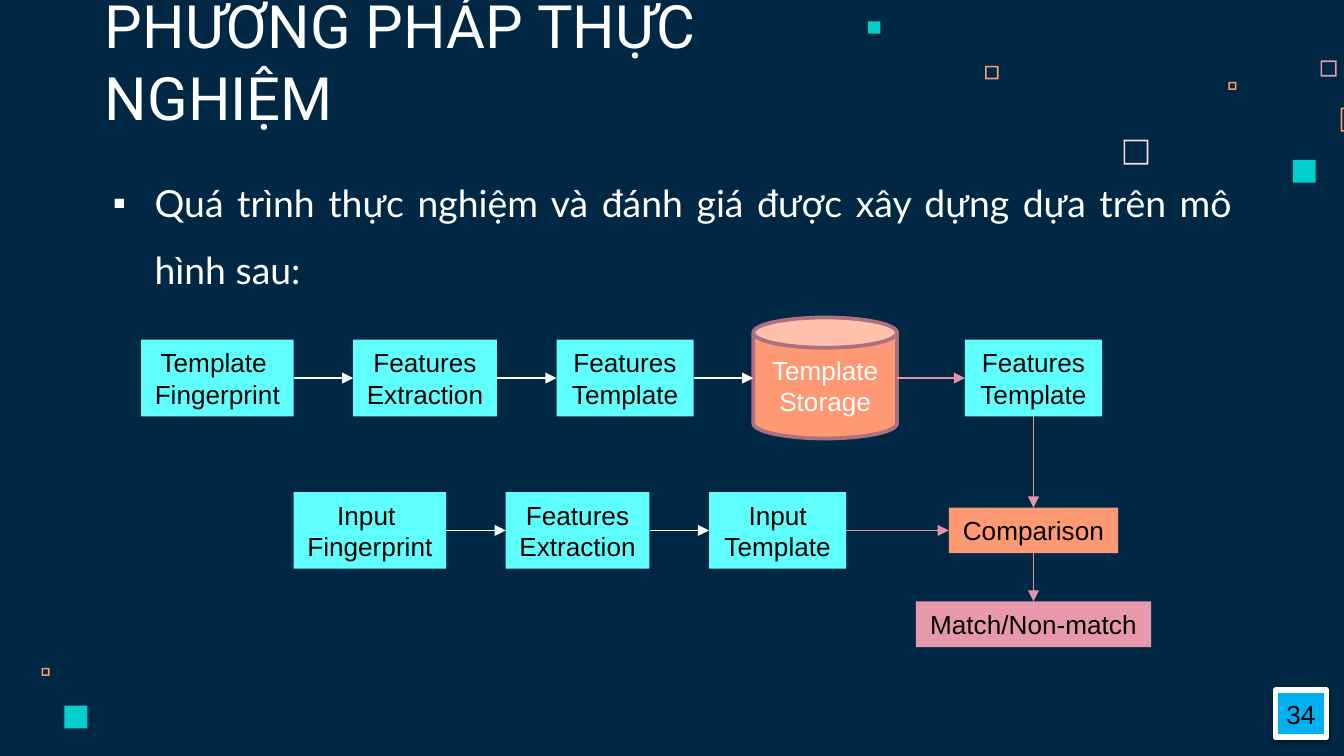
import dataclasses

import lxml.etree
import pptx
import pptx.dml.color
import pptx.enum.shapes
import pptx.enum.text
import pptx.oxml
import pptx.oxml.ns
import pptx.util

SHAPE = pptx.enum.shapes.MSO_SHAPE
ALIGN = pptx.enum.text.PP_ALIGN
ANCHOR = pptx.enum.text.MSO_ANCHOR
NO_FIT = pptx.enum.text.MSO_AUTO_SIZE.NONE
MARGINS = ("margin_left", "margin_top", "margin_right", "margin_bottom")
COLUMNS = 100
ROWS = 56.25
CELL = pptx.util.Inches(0.1)


@dataclasses.dataclass(frozen=True)
class Theme:
    background: str = "002845"
    white: str = "FFFFFF"
    black: str = "000000"
    cyan: str = "5EFFFD"
    teal: str = "00CFCC"
    orange: str = "FF9973"
    pink: str = "E898AC"
    pale_pink: str = "FFD6E1"
    arrow_pink: str = "E593A7"
    can_border: str = "AC707F"
    badge: str = "00B0F0"
    title_size: int = 32
    body_size: int = 20
    label_size: int = 14
    title_font: str = "Roboto"
    body_font: str = "Lato"
    label_font: str = "Arial"
    frame_border: float = 0.12
    arrow_width: float = 0.75


THEME = Theme()


def cells(*values):
    return [round(value * CELL) for value in values]


def color(value):
    return pptx.dml.color.RGBColor.from_string(value)


def set_values(target, values):
    for name, value in values.items():
        setattr(target, name, value)


def place(shape, left, top, width, height):
    names = ("left", "top", "width", "height")
    set_values(shape, dict(zip(names, cells(left, top, width, height))))


def add_xml(parent, tag, **attributes):
    element = lxml.etree.SubElement(parent, pptx.oxml.ns.qn(tag))
    for name, value in attributes.items():
        element.set(name, str(value))
    return element


def format_text(shape, text, font_name, size, font_color, frame_values, paragraph_values):
    frame = shape.text_frame
    frame.text = text
    set_values(frame, {"auto_size": NO_FIT, **frame_values})
    for paragraph in frame.paragraphs:
        set_values(paragraph, paragraph_values)
        for run in paragraph.runs:
            set_values(run.font, {"name": font_name, "size": pptx.util.Pt(size)})
            run.font.color.rgb = color(font_color)


def add_shape(slide, kind, box, fill, border=None, border_width=0):
    shape = slide.shapes.add_shape(kind, *cells(*box))
    shape.shadow.inherit = False
    shape.fill.solid()
    shape.fill.fore_color.rgb = color(fill)
    if border:
        shape.line.color.rgb = color(border)
        shape.line.width = pptx.util.Pt(border_width)
    else:
        shape.line.fill.background()
    return shape


def add_label(shape, text, font_color=THEME.black, **frame_values):
    values = {"word_wrap": False, "vertical_anchor": ANCHOR.MIDDLE, **frame_values}
    format_text(shape, text, THEME.label_font, THEME.label_size, font_color,
                values, {"alignment": ALIGN.CENTER})


def add_node(slide, text, center, middle, width, height, fill=THEME.cyan):
    box = (center - width / 2, middle - height / 2, width, height)
    shape = add_shape(slide, SHAPE.RECTANGLE, box, fill)
    add_label(shape, text)
    return shape


def add_arrow(slide, start, end, line_color):
    connector = slide.shapes.add_connector(
        pptx.enum.shapes.MSO_CONNECTOR.STRAIGHT, *start, *end)
    connector.line.color.rgb = color(line_color)
    connector.line.width = pptx.util.Pt(THEME.arrow_width)
    properties = connector._element.spPr
    add_xml(properties.find(pptx.oxml.ns.qn("a:ln")), "a:tailEnd", type="triangle")
    add_xml(properties, "a:effectLst")


def arrow_right(slide, source, target, line_color):
    middle = source.top + source.height // 2
    add_arrow(slide, (source.left + source.width, middle), (target.left, middle), line_color)


def arrow_down(slide, source, target):
    center = source.left + source.width // 2
    add_arrow(slide, (center, source.top + source.height), (center, target.top),
              THEME.arrow_pink)


def add_chain(slide, left, middle, labels):
    gap, height = 4.43, 5.7
    nodes = []
    for text, width in zip(labels, (11.35, 10.7, 10.2)):
        nodes.append(add_node(slide, text, left + width / 2, middle, width, height))
        left += width + gap
    for source, target in zip(nodes, nodes[1:]):
        arrow_right(slide, source, target, THEME.white)
    return nodes[-1]


def add_decoration(slide):
    frames = [(83.6, 10.4, 1.85, THEME.pale_pink), (98.25, 4.5, 1.2, THEME.pink),
              (91.4, 6.1, 0.6, THEME.orange), (99.75, 8, 1.8, THEME.orange),
              (73.3, 4.9, 1, THEME.orange), (3.1, 49.7, 0.6, THEME.orange)]
    squares = [(96.2, 11.9, 1.7), (64.6, 1.6, 0.9), (4.8, 52.5, 1.7)]
    for left, top, size, fill in frames:
        frame = add_shape(slide, SHAPE.FRAME, (left, top, size, size), fill)
        frame.adjustments[0] = THEME.frame_border / size
    for left, top, size in squares:
        add_shape(slide, SHAPE.RECTANGLE, (left, top, size, size), THEME.teal)


def add_title(slide, text):
    title = slide.shapes.title
    place(title, 6.8, 4.55, 52.9, 6.3)
    format_text(title, text, THEME.title_font, THEME.title_size, THEME.white,
                {"word_wrap": True, "vertical_anchor": ANCHOR.BOTTOM,
                 **dict.fromkeys(MARGINS, CELL)},
                {"alignment": ALIGN.LEFT})


def add_body(slide, text):
    body = slide.placeholders[1]
    place(body, 7.4, 11.25, 85.3, 10.4)
    format_text(body, text, THEME.body_font, THEME.body_size, THEME.white,
                {"word_wrap": True, "vertical_anchor": ANCHOR.TOP},
                {"alignment": ALIGN.JUSTIFY, "line_spacing": 1.5,
                 "space_before": pptx.util.Pt(0)})
    properties = body.text_frame.paragraphs[0]._p.get_or_add_pPr()
    indent = cells(3.1)[0]
    for name, value in {"marL": indent, "indent": -indent}.items():
        properties.set(name, str(value))
    add_xml(add_xml(properties, "a:buClr"), "a:srgbClr", val=THEME.white)
    add_xml(properties, "a:buFont", typeface=THEME.label_font)
    add_xml(properties, "a:buChar", char="▪")


def add_badge(slide, text):
    badge = add_shape(slide, SHAPE.RECTANGLE, (94.9, 51.35, 3.8, 3.5),
                      THEME.badge, THEME.white, 3)
    add_label(badge, text, **dict.fromkeys(MARGINS, 0))
    effects = badge._element.spPr.find(pptx.oxml.ns.qn("a:effectLst"))
    shadow = add_xml(effects, "a:outerShdw", blurRad=pptx.util.Pt(3.1),
                     dist=pptx.util.Pt(1.6), dir=5400000, rotWithShape=0)
    add_xml(add_xml(shadow, "a:srgbClr", val=THEME.black), "a:alpha", val=38000)


def add_diagram(slide):
    upper, lower, result_row, last_column = 28.13, 39.47, 46.45, 76.9
    stored = add_chain(slide, 10.5, upper, (
        "Template \nFingerprint", "Features\nExtraction", "Features\nTemplate"))
    entered = add_chain(slide, 21.85, lower, (
        "Input \nFingerprint", "Features\nExtraction", "Input\nTemplate"))
    storage = add_shape(slide, SHAPE.CAN, (56.05, 23.63, 10.7, 9),
                        THEME.orange, THEME.can_border, 2)
    add_label(storage, "Template\nStorage", THEME.white, word_wrap=True)
    features = add_node(slide, "Features\nTemplate", last_column, upper, 10.2, 5.7)
    comparison = add_node(slide, "Comparison", last_column, lower, 12.6, 3.4, THEME.orange)
    result = add_node(slide, "Match/Non-match", last_column, result_row, 17.5, 3.4, THEME.pink)
    arrow_right(slide, stored, storage, THEME.white)
    arrow_right(slide, storage, features, THEME.arrow_pink)
    arrow_right(slide, entered, comparison, THEME.arrow_pink)
    arrow_down(slide, features, comparison)
    arrow_down(slide, comparison, result)


def main():
    presentation = pptx.Presentation()
    set_values(presentation, dict(zip(("slide_width", "slide_height"), cells(COLUMNS, ROWS))))
    slide = presentation.slides.add_slide(presentation.slide_layouts[1])
    slide.background.fill.solid()
    slide.background.fill.fore_color.rgb = color(THEME.background)
    add_decoration(slide)
    add_title(slide, "PHƯƠNG PHÁP THỰC NGHIỆM")
    add_badge(slide, "34")
    add_body(slide, "Quá trình thực nghiệm và đánh giá được xây dựng dựa trên mô hình sau:")
    add_diagram(slide)
    presentation.save("out.pptx")


if __name__ == "__main__":
    main()
